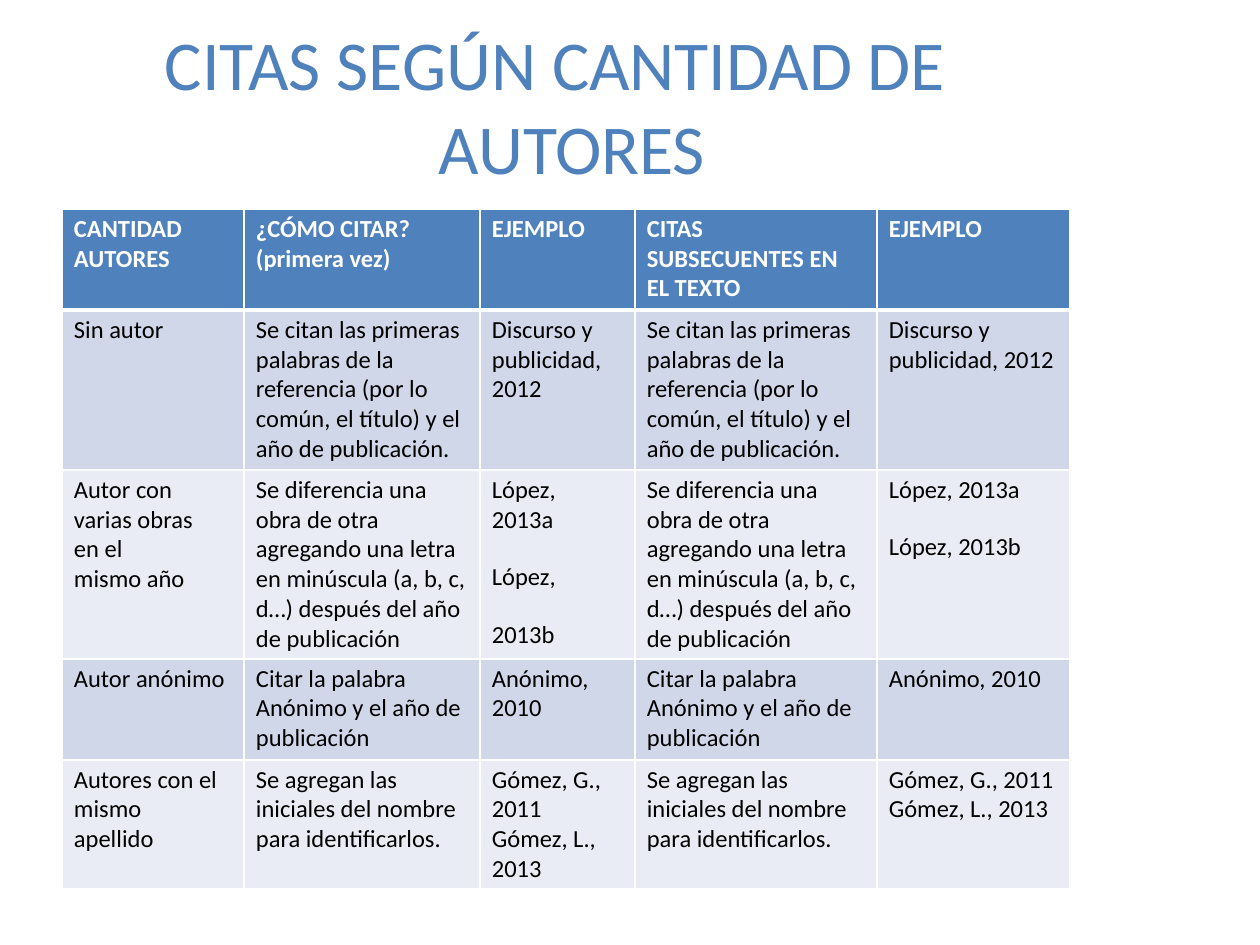
from lxml.etree import SubElement
from pptx import Presentation
from pptx.dml.color import RGBColor as Rgb
from pptx.enum.text import MSO_ANCHOR as Anchor, MSO_AUTO_SIZE as AutoSize, PP_ALIGN as Align
from pptx.oxml.ns import qn
from pptx.util import Emu, Pt

PX = 914400 // 126
FONT = "Calibri"
COLORS = {"title": "4F81BC", "header": "4F81BC", "odd": "D0D7E8", "even": "E9ECF4",
          "border": "FFFFFF", "header_text": "FFFFFF", "text": "000000"}

TITLE = "CITAS SEGÚN CANTIDAD DE AUTORES"
TITLE_BOX = (165, 19, 786, 171)
TITLE_HANG = 274

# In a cell, \v breaks a line, \n starts a paragraph and \n\n leaves a gap before it.
HEADERS = ["CANTIDAD\vAUTORES", "¿CÓMO CITAR?\n(primera vez)", "EJEMPLO",
           "CITAS\vSUBSECUENTES EN\vEL TEXTO", "EJEMPLO"]
# Case, how to cite (the same the first time and later), first example, later example
CASES = [
    ("Sin autor",
     "Se citan las primeras\vpalabras de la\vreferencia (por lo\vcomún, el título) y el\vaño de publicación.",
     "Discurso y\vpublicidad,\v2012", "Discurso y\vpublicidad, 2012"),
    ("Autor con\vvarias obras\ven el\vmismo año",
     "Se diferencia una\vobra de otra\vagregando una letra\ven minúscula (a, b, c,\vd…) después del año\vde publicación",
     "López,\n2013a\n\nLópez,\n\n2013b", "López, 2013a\n\nLópez, 2013b"),
    ("Autor anónimo", "Citar la palabra\vAnónimo y el año de\vpublicación",
     "Anónimo,\v2010", "Anónimo, 2010"),
    ("Autores con el\vmismo\vapellido", "Se agregan las\viniciales del nombre\vpara identificarlos.",
     "Gómez, G.,\v2011\nGómez, L.,\v2013", "Gómez, G., 2011\nGómez, L., 2013"),
]
ROWS = [HEADERS] + [[case, rule, first, rule, later] for case, rule, first, later in CASES]
TABLE_AT = (62, 209)
COLUMN_WIDTHS = [182, 236, 155, 242, 193]
ROW_HEIGHTS = [101, 160, 189, 101, 129]
CELL_FORMAT = {"margin_left": Emu(12 * PX), "margin_top": Emu(5 * PX), "margin_right": 0,
               "margin_bottom": 0, "vertical_anchor": Anchor.TOP}
TEXT_SIZE, FIRST_SPACE, GAP = 14, 2.7, 16


def px(*lengths):
    return [Emu(length * PX) for length in lengths]


def apply(target, values):
    for name, value in values.items():
        setattr(target, name, value)


def format_font(font, size, color, bold=False):
    apply(font, {"name": FONT, "size": Pt(size), "bold": bold})
    font.color.rgb = Rgb.from_string(COLORS[color])


def add_title(page):
    title = page.shapes.title
    apply(title, dict(zip(("left", "top", "width", "height"), px(*TITLE_BOX))))
    frame = title.text_frame
    apply(frame, {"margin_left": 0, "margin_right": 0, "margin_top": Pt(1), "margin_bottom": 0,
                  "word_wrap": True, "auto_size": AutoSize.NONE, "vertical_anchor": Anchor.TOP})
    frame.text = TITLE
    para = frame.paragraphs[0]
    apply(para, {"alignment": Align.LEFT, "space_before": Pt(0.9)})
    properties = para._p.get_or_add_pPr()
    properties.set("marL", str(TITLE_HANG * PX))
    properties.set("indent", str(-TITLE_HANG * PX))
    format_font(para.runs[0].font, 40, "title")


def add_borders(cell, widths):
    properties = cell._tc.get_or_add_tcPr()
    for side, width in widths.items():
        line = SubElement(properties, qn(f"a:ln{side}"), w=str(Pt(width)))
        SubElement(SubElement(line, qn("a:solidFill")), qn("a:srgbClr"), val=COLORS["border"])


def fill_text(cell, text, color, bold):
    frame = cell.text_frame
    space, para = FIRST_SPACE, None
    for part in text.split("\n"):
        if not part:
            space = GAP
            continue
        para = frame.add_paragraph() if para else frame.paragraphs[0]
        para.text = part
        apply(para, {"space_before": Pt(space), "alignment": Align.LEFT})
        for span in para.runs:
            format_font(span.font, TEXT_SIZE, color, bold)
        for line_break in para._p.findall(qn("a:br")):
            SubElement(line_break, qn("a:rPr"), sz=str(TEXT_SIZE * 100))
        space = 0


def add_citation_table(page):
    size = (sum(COLUMN_WIDTHS), sum(ROW_HEIGHTS))
    table = page.shapes.add_table(len(ROWS), len(HEADERS), *px(*TABLE_AT, *size)).table
    table.horz_banding = False
    for column, width in zip(table.columns, px(*COLUMN_WIDTHS)):
        column.width = width
    for index, (row, height, texts) in enumerate(zip(table.rows, px(*ROW_HEIGHTS), ROWS)):
        row.height = height
        header = index == 0
        fill = "header" if header else "odd" if index % 2 else "even"
        for cell, text in zip(row.cells, texts):
            apply(cell, CELL_FORMAT)
            add_borders(cell, {"L": 1, "R": 1, "T": 3 if index == 1 else 1, "B": 3 if header else 1})
            cell.fill.solid()
            cell.fill.fore_color.rgb = Rgb.from_string(COLORS[fill])
            fill_text(cell, text, "header_text" if header else "text", header)


def main():
    deck = Presentation()
    deck.slide_width, deck.slide_height = px(1260, 945)
    page = deck.slides.add_slide(deck.slide_layouts[5])
    add_title(page)
    add_citation_table(page)
    deck.save("out.pptx")


if __name__ == "__main__":
    main()
